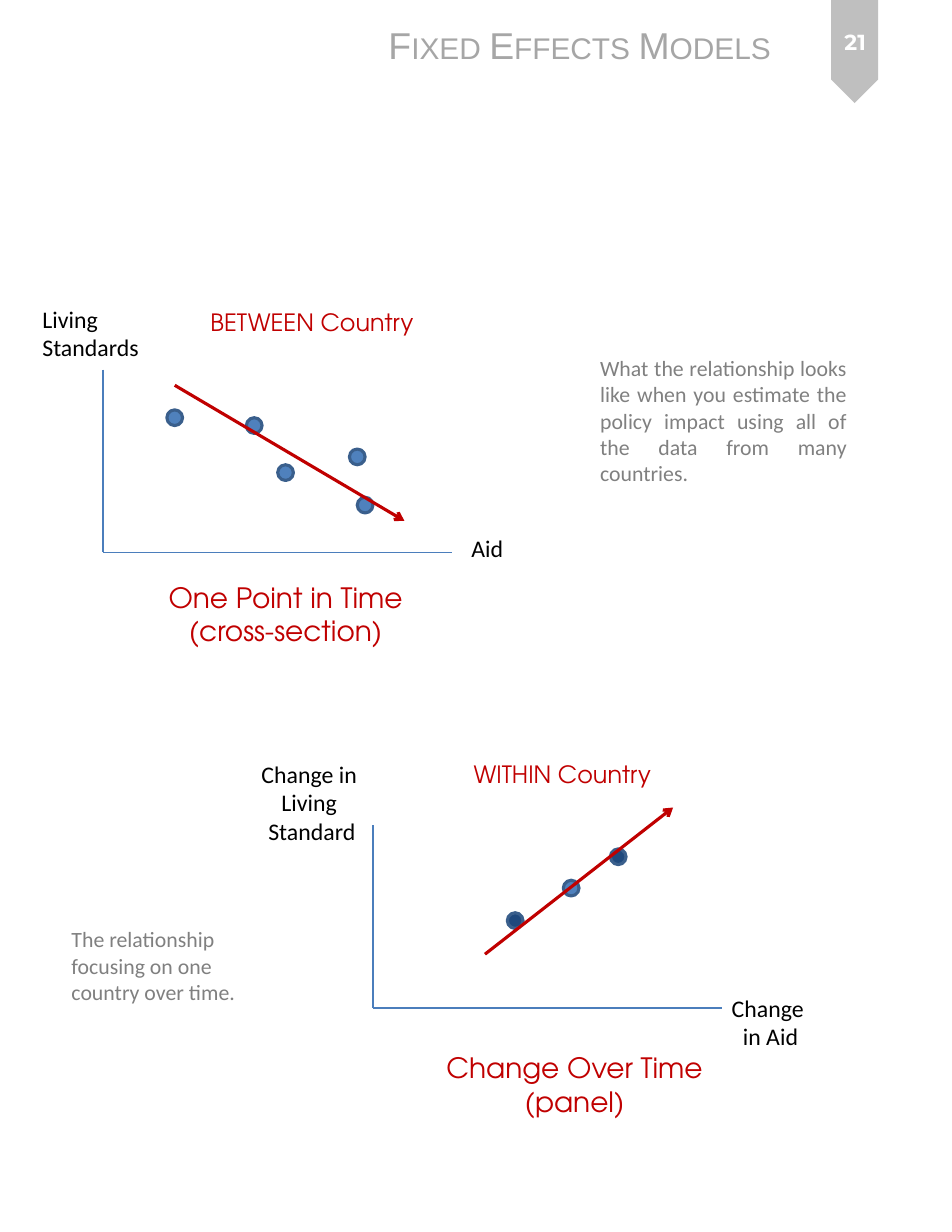
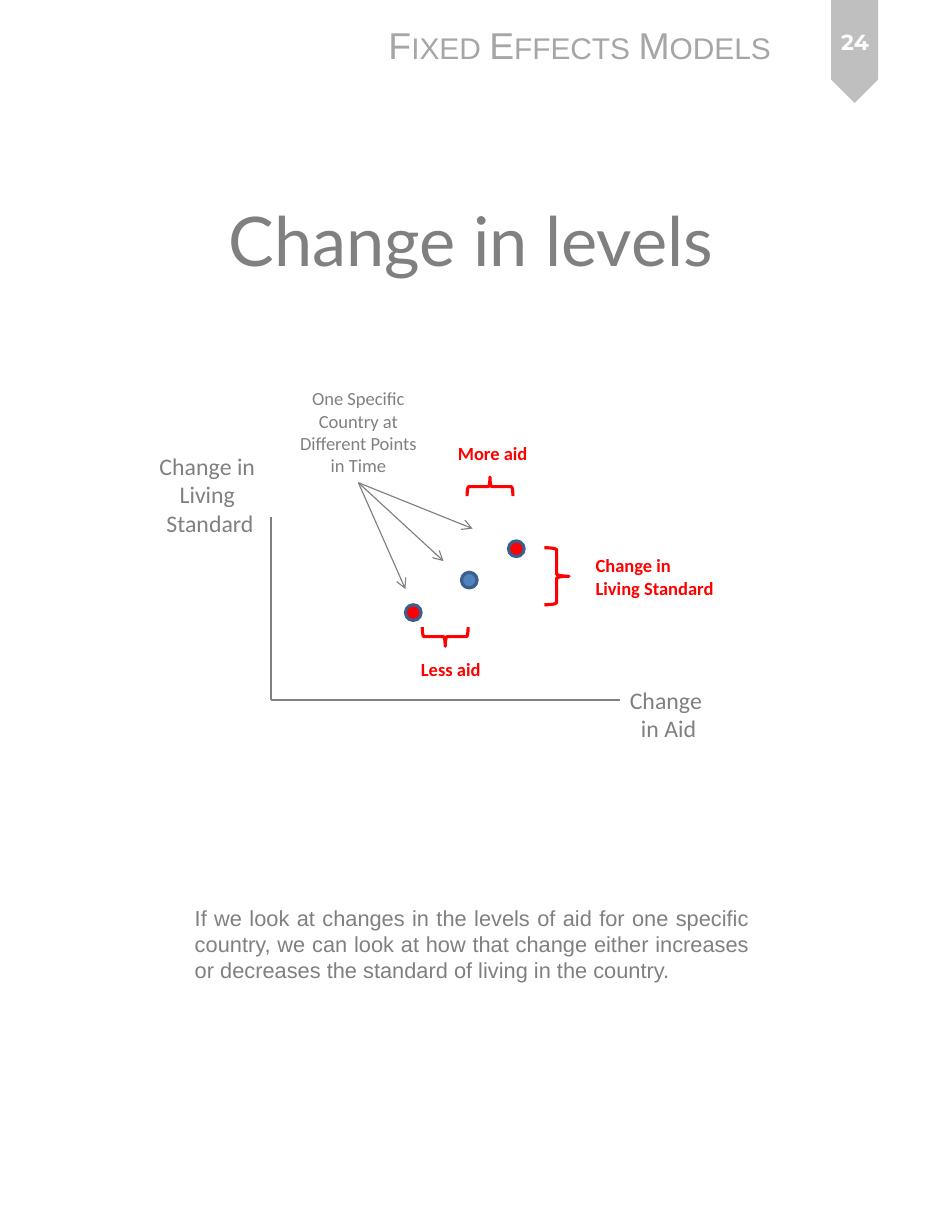
import pptx
import pptx.util
import pptx.dml.color
import pptx.enum.shapes
import pptx.enum.text
import pptx.oxml
import pptx.oxml.ns

SHAPE = pptx.enum.shapes.MSO_SHAPE
ALIGN = pptx.enum.text.PP_ALIGN
ANCHOR = pptx.enum.text.MSO_ANCHOR
FIT = pptx.enum.text.MSO_AUTO_SIZE

# Page grid: 85 columns by 110 rows of a tenth of an inch
COLUMNS, ROWS = 85, 110
CELL = pptx.util.Inches(0.1)

# Colours
WHITE, BLACK, GREY = "FFFFFF", "000000", "808080"
BAND, HEADING = "BFBFBF", "A6A6A6"
CRIMSON, RED = "C00000", "FF0000"
AXIS_BLUE, DOT_BLUE, DOT_NAVY, DOT_EDGE = "4B7EBC", "4F81BD", "1F497D", "3A5F8C"

# Type
BODY, SANS, DISPLAY = "Calibri", "Arial", "TeX Gyre Adventor"
LABEL_SIZE, NOTE_SIZE, CALLOUT_SIZE = 15.3, 14, 11.9

# Scatter plots, measured in cells from the origin, upwards
AXIS_WIDTH, AXIS_HEIGHT, DOT = 31.2, 16.3, 1.4
BETWEEN_POINTS = [(22.7, 8.5), (13.5, 11.3), (6.4, 12), (16.3, 7.1), (23.4, 4.2)]
WITHIN_POINTS = [(12.7, 7.8), (17.7, 10.7), (21.9, 13.5)]


def grid(*cells):
    return [round(cell * CELL) for cell in cells]


def color(hex_value):
    return pptx.dml.color.RGBColor.from_string(hex_value)


def text(slide, place, words, size, ink, font=BODY, align=ALIGN.LEFT, bold=False,
         wrap=False, fit=True, anchor=ANCHOR.TOP, small_caps=False):
    """Words in one style; a list makes paragraphs, a newline breaks a line."""
    box = slide.shapes.add_textbox(*grid(*place))
    frame = box.text_frame
    frame.word_wrap = wrap
    frame.auto_size = FIT.SHAPE_TO_FIT_TEXT if fit else FIT.NONE
    frame.vertical_anchor = anchor
    for index, line in enumerate([words] if isinstance(words, str) else words):
        paragraph = frame.add_paragraph() if index else frame.paragraphs[0]
        paragraph.text = line
        paragraph.alignment = align
        paragraph.font.name = font
        paragraph.font.size = pptx.util.Pt(size)
        paragraph.font.bold = bold
        paragraph.font.color.rgb = color(ink)
        if small_caps:
            style = paragraph._p.pPr.find(pptx.oxml.ns.qn("a:defRPr"))
            style.set("cap", "small")
    return box


def shape(slide, kind, place, fill=None, edge=None, rotation=0):
    item = slide.shapes.add_shape(kind, *grid(*place))
    item.shadow.inherit = False
    item.rotation = rotation
    if fill:
        item.fill.solid()
        item.fill.fore_color.rgb = color(fill)
    else:
        item.fill.background()
    if edge:
        item.line.color.rgb = color(edge)
        item.line.width = pptx.util.Pt(2)
    else:
        item.line.fill.background()
    return item


def line(slide, start, end, ink, width=0.75, arrow=False):
    rule = slide.shapes.add_connector(
        pptx.enum.shapes.MSO_CONNECTOR.STRAIGHT, *grid(*start, *end))
    rule.line.color.rgb = color(ink)
    rule.line.width = pptx.util.Pt(width)
    if arrow:
        stroke = rule.line._get_or_add_ln()
        stroke.append(pptx.oxml.parse_xml(
            f'<a:tailEnd {pptx.oxml.ns.nsdecls("a")} type="arrow"/>'))
    rule._element.spPr.append(pptx.oxml.parse_xml(
        f'<a:effectLst {pptx.oxml.ns.nsdecls("a")}/>'))
    return rule


def page(deck, number):
    """Blank page with the running title and the numbered ribbon."""
    slide = deck.slides.add_slide(deck.slide_layouts[6])
    shape(slide, SHAPE.PENTAGON, (71.7, 2.5, 9.2, 4.2), BAND, rotation=90)
    text(slide, (33.7, 1.5, 36.8, 5), "Fixed Effects Models", 24, HEADING, SANS,
         small_caps=True)
    text(slide, (72.6, 0.8, 7.5, 5.9), number, 14, WHITE, "Montserrat", ALIGN.CENTER,
         bold=True, wrap=True, fit=False, anchor=ANCHOR.MIDDLE)
    return slide


def scatter(slide, origin, points, fills, axis_ink, trend=None):
    """Two axes, dots and an optional trend arrow."""
    left, base = origin
    line(slide, (left, base - AXIS_HEIGHT), origin, axis_ink)
    line(slide, origin, (left + AXIS_WIDTH, base), axis_ink)
    for (x, y), fill in zip(points, fills):
        shape(slide, SHAPE.OVAL, (left + x - DOT / 2, base - y - DOT / 2, DOT, DOT),
              fill, DOT_EDGE)
    if trend:
        start, end = [(left + x, base - y) for x, y in trend]
        line(slide, start, end, CRIMSON, 2, arrow=True)


def change_plot(slide, origin, fills, axis_ink, label_ink, trend=None):
    """One country over time: change in living standard against change in aid."""
    left, base = origin
    scatter(slide, origin, WITHIN_POINTS, fills, axis_ink, trend)
    text(slide, (left - 11, base - 22.7, 11.1, 8.7), "Change in \nLiving \nStandard",
         LABEL_SIZE, label_ink, align=ALIGN.CENTER)
    text(slide, (left + 31, base - 1.8, 9, 6.2), "Change \nin Aid",
         LABEL_SIZE, label_ink, align=ALIGN.CENTER)


def plot_titles(slide, heading, heading_place, caption, caption_place):
    text(slide, heading_place, heading, LABEL_SIZE, CRIMSON, DISPLAY, wrap=True)
    text(slide, caption_place, caption, 18, CRIMSON, DISPLAY, ALIGN.CENTER)


def between_and_within(deck):
    slide = page(deck, "21")

    # Between countries
    scatter(slide, (9.2, 49.3), BETWEEN_POINTS, [DOT_BLUE] * 5, AXIS_BLUE,
            [(6.4, 14.9), (26.9, 2.8)])
    text(slide, (2.8, 26.7, 10.7, 6.2), "Living\nStandards", LABEL_SIZE, BLACK)
    text(slide, (41.1, 47.2, 4.9, 3.6), "Aid", LABEL_SIZE, BLACK)
    plot_titles(slide, "BETWEEN Country", (17.8, 27, 22.6, 3.6),
                ["One Point in Time", "(cross-section)"], (13.9, 51.3, 23.2, 7.1))
    text(slide, (52.6, 31.2, 24, 12.8),
         "What the relationship looks like when you estimate the policy impact "
         "using all of the data from many countries.",
         NOTE_SIZE, GREY, align=ALIGN.JUSTIFY, wrap=True)

    # Within one country
    change_plot(slide, (33.3, 90), [DOT_NAVY, DOT_BLUE, DOT_NAVY], AXIS_BLUE, BLACK,
                [(10, 4.8), (26.8, 17.9)])
    plot_titles(slide, "WITHIN Country", (41.3, 67.3, 22.6, 3.6),
                ["Change Over Time", "(panel)"], (38.7, 93.3, 25.2, 7.1))
    text(slide, (5.4, 82.2, 18, 8.1),
         "The relationship focusing on one country over time.",
         NOTE_SIZE, GREY, wrap=True)


def change_in_levels(deck):
    slide = page(deck, "24")
    text(slide, (3.8, 17.2, 76.5, 8.3), "Change in levels", 44, GREY, "Lato",
         ALIGN.CENTER, wrap=True, fit=False)
    change_plot(slide, (24.2, 62.5), [RED, DOT_BLUE, RED], GREY, GREY)

    # Braces and what they measure
    for place, rotation in [((48.6, 48.9, 2.2, 5.1), 0),
                            ((38.9, 54.8, 1.7, 4.1), 90),
                            ((42.9, 41.4, 1.7, 4.1), 270)]:
        shape(slide, SHAPE.RIGHT_BRACE, place, edge=RED, rotation=rotation)
    for place, words in [((52.2, 49, 12.7, 5), "Change in \nLiving Standard"),
                         ((36.6, 58.3, 7.4, 3), "Less aid"),
                         ((39.9, 39, 8.3, 3), "More aid")]:
        text(slide, place, words, CALLOUT_SIZE, RED, bold=True)

    # Callout pointing at the three dots
    country = text(slide, (25.8, 34.1, 12.4, 9),
                   "One Specific Country at Different Points in Time",
                   CALLOUT_SIZE, GREY, align=ALIGN.CENTER, wrap=True)
    for target in [(36.2, 52.6), (39.6, 50.1), (42.2, 47.2)]:
        pointer = line(slide, (32, 43.1), target, GREY, arrow=True)
        pointer.begin_connect(country, 2)

    text(slide, (16.4, 80.3, 51.5, 8.1),
         "If we look at changes in the levels of aid for one specific country, "
         "we can look at how that change either increases or decreases the "
         "standard of living in the country.",
         NOTE_SIZE, GREY, SANS, ALIGN.JUSTIFY, wrap=True)


def main():
    deck = pptx.Presentation()
    deck.slide_width, deck.slide_height = grid(COLUMNS, ROWS)
    between_and_within(deck)
    change_in_levels(deck)
    deck.save("out.pptx")


if __name__ == "__main__":
    main()
